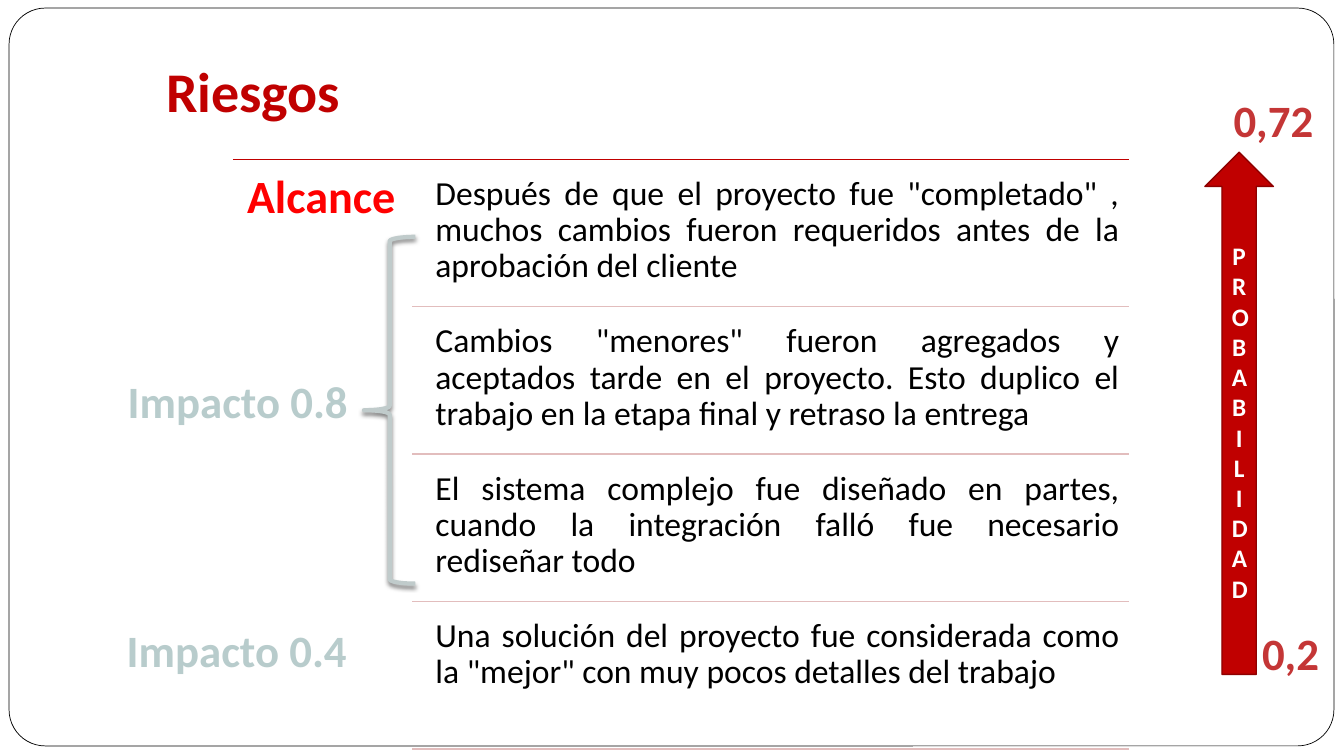
from lxml import etree
from pptx import Presentation
from pptx.dml.color import RGBColor
from pptx.enum.shapes import MSO_CONNECTOR, MSO_SHAPE
from pptx.enum.text import MSO_ANCHOR, PP_ALIGN
from pptx.oxml import parse_xml
from pptx.oxml.ns import nsdecls, qn
from pptx.util import Inches, Pt

LEFT, CENTER, JUSTIFY = PP_ALIGN.LEFT, PP_ALIGN.CENTER, PP_ALIGN.JUSTIFY
TOP, MIDDLE, BOTTOM = MSO_ANCHOR.TOP, MSO_ANCHOR.MIDDLE, MSO_ANCHOR.BOTTOM
FONT = "Calibri"
COLORS = {name: RGBColor.from_string(value) for name, value in {
    "white": "FFFFFF", "black": "000000", "red": "C00000", "bright": "FF0000",
    "dark": "8E0000", "value": "C43636", "impact": "B8CCCC",
    "rule": "E2BDBD", "brace": "C0CBCB",
}.items()}


def write(shape, text, size, color, bold=True, align=LEFT, anchor=TOP,
          margins=(0.1, 0.05, 0.1, 0.05), spacing=None, wrap=True):
    frame = shape.text_frame
    frame.word_wrap = wrap
    frame.vertical_anchor = anchor
    (frame.margin_left, frame.margin_top,
     frame.margin_right, frame.margin_bottom) = [Inches(m) for m in margins]
    para = frame.paragraphs[0]
    para.alignment = align
    para.line_spacing = spacing
    span = para.add_run()
    span.text = text
    span.font.name = FONT
    span.font.size = Pt(size)
    span.font.bold = bold
    span.font.color.rgb = COLORS[color]


def add_box(left, top, width, height, *args, **options):
    box = page.shapes.add_textbox(Inches(left), Inches(top), Inches(width), Inches(height))
    write(box, *args, **options)


deck = Presentation()
deck.slide_width, deck.slide_height = Inches(13.33), Inches(7.5)
page = deck.slides.add_slide(deck.slide_layouts[6])

# Rounded frame
frame_shape = page.shapes.add_shape(MSO_SHAPE.ROUNDED_RECTANGLE, Inches(0.09), Inches(0.08),
                                    Inches(13.14), Inches(7.32))
frame_shape.adjustments[0] = 0.049
frame_shape.shadow.inherit = False
frame_shape.fill.solid()
frame_shape.fill.fore_color.rgb = COLORS["white"]
frame_shape.line.color.rgb = COLORS["black"]
frame_shape.line.width = Pt(0.5)

# Title and category
add_box(1.55, -0.59, 10.96, 1.92, "Riesgos", 40, "red", anchor=BOTTOM,
        margins=(0.1, 0.05, 0.1, 0.1))
add_box(2.31, 1.58, 1.78, 1.28, "Alcance", 33, "bright", margins=(0.14,) * 4, spacing=0.9)

# Risk list, one row per risk
risks = [
    'Después de que el proyecto fue "completado" , muchos cambios fueron requeridos '
    "antes de la aprobación del cliente",
    'Cambios "menores" fueron agregados y aceptados tarde en el proyecto. '
    "Esto duplico el trabajo en la etapa final y retraso la entrega",
    "El sistema complejo fue diseñado en partes, cuando la integración falló "
    "fue necesario rediseñar todo",
    'Una solución del proyecto fue considerada como la "mejor" con muy pocos '
    "detalles del trabajo",
]
list_top, row_pitch = 1.58, 5.85 / len(risks)
for row, risk in enumerate(risks):
    add_box(4.22, list_top + 0.07 + row * row_pitch, 6.98, 1.39, risk, 24, "black",
            bold=False, align=JUSTIFY, margins=(0.1,) * 4, spacing=0.9)

# Rules above, between and below the rows
for row in range(len(risks) + 1):
    y = Inches(list_top + row * row_pitch)
    rule = page.shapes.add_connector(MSO_CONNECTOR.STRAIGHT, Inches(4.09 if row else 2.31), y,
                                     Inches(11.2), y)
    rule.line.color.rgb = COLORS["rule" if row else "red"]
    rule.line.width = Pt(1)
    etree.SubElement(rule._element.spPr, qn("a:effectLst"))

# Probability arrow with its end values
add_box(12.12, 0.87, 1.02, 0.64, "0,72", 32, "value", align=CENTER)
add_box(12.35, 6.16, 0.9, 0.64, "0,2", 32, "value", align=CENTER)
arrow = page.shapes.add_shape(MSO_SHAPE.UP_ARROW, Inches(11.95), Inches(1.51),
                              Inches(0.68), Inches(5.18))
arrow.shadow.inherit = False
arrow.fill.solid()
arrow.fill.fore_color.rgb = COLORS["red"]
arrow.line.color.rgb = COLORS["dark"]
arrow.line.width = Pt(1)
write(arrow, "PROBABILIDAD", 18, "white", align=CENTER, anchor=MIDDLE)

# Impact labels
add_box(1.16, 3.66, 2.4, 0.64, "Impacto 0.8", 32, "impact", align=CENTER, wrap=False)
add_box(1.1, 6.13, 2.5, 0.64, "Impacto 0.4", 32, "impact", align=CENTER, wrap=False)

# Brace with a soft shadow below it
brace = page.shapes.add_shape(MSO_SHAPE.LEFT_BRACE, Inches(3.61), Inches(2.35),
                              Inches(0.51), Inches(3.44))
brace.fill.background()
brace.line.color.rgb = COLORS["brace"]
brace.line.width = Pt(3)
brace.shadow.inherit = False
brace._element.spPr.find(qn("a:effectLst")).append(parse_xml(
    f'<a:outerShdw {nsdecls("a")} blurRad="{Pt(3)}" dist="{Pt(2)}" dir="5400000" rotWithShape="0">'
    '<a:srgbClr val="000000"><a:alpha val="50000"/></a:srgbClr></a:outerShdw>'))

deck.save("out.pptx")
